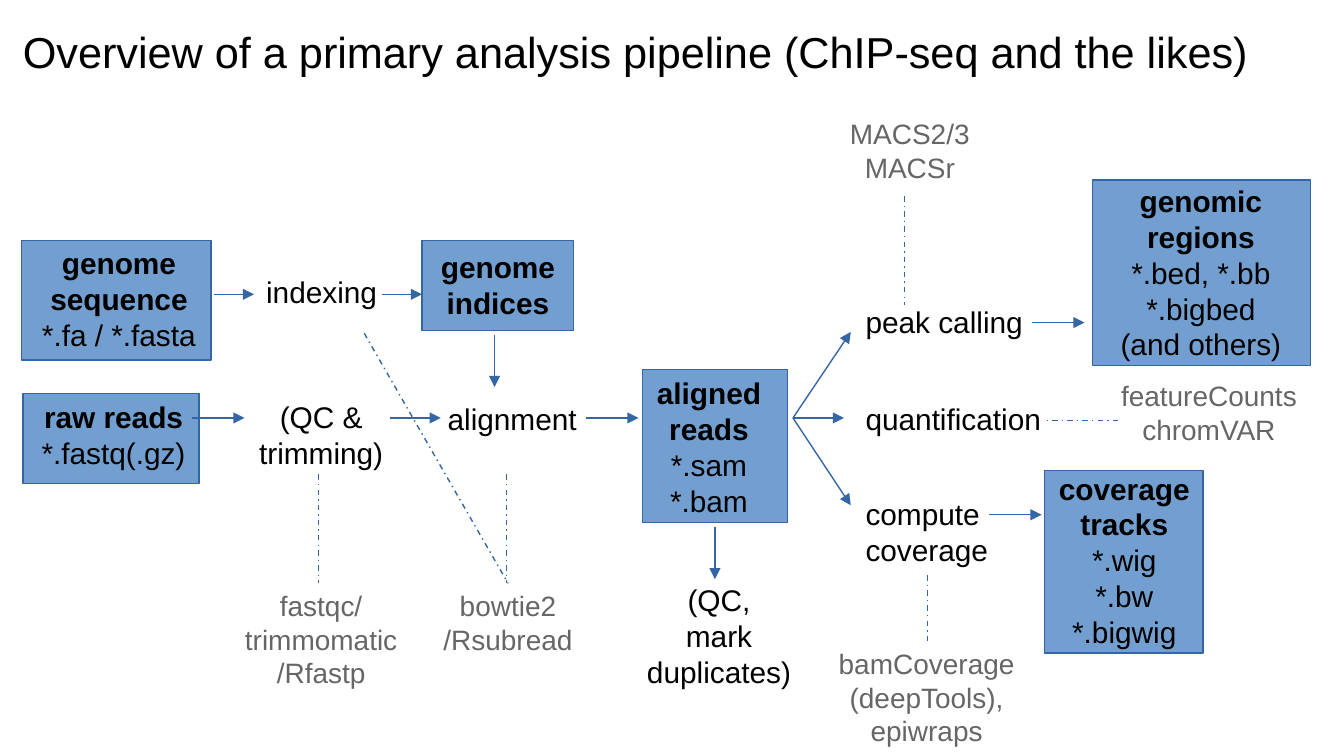
from copy import deepcopy

from lxml import etree
from pptx import Presentation
from pptx import util as u
from pptx.dml.color import RGBColor
from pptx.enum import dml, shapes, text
from pptx.oxml import ns

BLUE = RGBColor(0x72, 0x9F, 0xCF)
NAVY = RGBColor(0x34, 0x65, 0xA4)
BLACK = RGBColor(0, 0, 0)
GRAY = RGBColor(0x66, 0x66, 0x66)
CENTER = text.PP_ALIGN.CENTER
LEFT = text.PP_ALIGN.LEFT
LABEL_MARGINS = {"margin_left": 0.09, "margin_right": 0.09,
                 "margin_top": 0.04, "margin_bottom": 0.04}


def place(origin, area):
    """Turn an area relative to an origin into slide lengths."""
    left, top, width, height = area
    return [u.Inches(length) for length in
            (origin[0] + left, origin[1] + top, width, height)]


def add_label(page, origin, area, lines, size=16, color=BLACK, align=CENTER,
              bold_lines=0, margins=LABEL_MARGINS, anchor=text.MSO_ANCHOR.TOP):
    """Write one paragraph per line, the first bold_lines of them in bold."""
    frame = page.shapes.add_textbox(*place(origin, area)).text_frame
    frame.word_wrap = True
    frame.vertical_anchor = anchor
    for name, length in margins.items():
        setattr(frame, name, u.Inches(length))
    for index, line in enumerate(lines):
        para = frame.paragraphs[0] if index == 0 else frame.add_paragraph()
        para.alignment = align
        para.text = line
        values = {"name": "Arial", "size": u.Pt(size), "bold": index < bold_lines}
        for span in para.runs:
            for name, value in values.items():
                setattr(span.font, name, value)
            span.font.color.rgb = color
        for line_break in para._p.findall(ns.qn("a:br")):
            line_break.append(deepcopy(para.runs[0]._r.rPr))


def add_data(page, origin, area, label_area, lines, bold_lines=1):
    """Draw a blue data box with its name in bold and its file formats."""
    box = page.shapes.add_shape(shapes.MSO_SHAPE.RECTANGLE, *place(origin, area))
    box.shadow.inherit = False
    box.fill.solid()
    box.fill.fore_color.rgb = BLUE
    box.line.color.rgb = NAVY
    box.line.width = u.Pt(0.75)
    add_label(page, origin, label_area, lines, bold_lines=bold_lines)


def add_link(page, origin, start, end, dashed=False):
    """Draw an arrow between steps, or a dashed line to a tool."""
    points = [u.Inches(base + offset) for point in (start, end)
              for base, offset in zip(origin, point)]
    link = page.shapes.add_connector(shapes.MSO_CONNECTOR.STRAIGHT, *points)
    link.line.color.rgb = NAVY
    link.line.width = u.Pt(0.75)
    if dashed:
        link.line.dash_style = dml.MSO_LINE.DASH_DOT
    else:
        etree.SubElement(link.line._get_or_add_ln(), ns.qn("a:tailEnd"), type="triangle")
    etree.SubElement(link._element.spPr, ns.qn("a:effectLst"))


def add_title(page, box):
    """Write the slide title."""
    add_label(page, box[:2], (0, 0, *box[2:]),
              ["Overview of a primary analysis pipeline (ChIP-seq and the likes)"],
              size=23.2, align=LEFT, margins=dict.fromkeys(LABEL_MARGINS, 0),
              anchor=text.MSO_ANCHOR.MIDDLE)


def add_alignment_steps(page, origin):
    """Draw the path from genome and raw reads to aligned reads."""
    data = [
        ((4.78, 1, 1.08, 1.14), (4.48, 1, 1.59, 1.11), ["aligned reads", "*.sam", "*.bam"]),
        ((0.17, 1.18, 1.31, 0.67), (0.05, 1.18, 1.59, 0.6), ["raw reads", "*.fastq(.gz)"]),
        ((3.14, 0.04, 1.13, 0.67), (2.91, 0.06, 1.59, 0.6), ["genome indices"]),
        ((0.16, 0.04, 1.41, 0.89), (0.09, 0.03, 1.59, 0.85),
         ["genome sequence", "*.fa / *.fasta"]),
    ]
    for area, label_area, lines in data:
        add_data(page, origin, area, label_area, lines)
    steps = [
        ((1.75, 1.18, 1.28, 0.6), ["(QC &", "trimming)"], CENTER),
        ((3.24, 1.19, 1.18, 0.34), ["alignment"], LEFT),
        ((1.89, 0.25, 1.06, 0.34), ["indexing"], LEFT),
        ((4.71, 2.54, 1.28, 0.34), ["(QC,", "mark duplicates)"], CENTER),
    ]
    for area, lines, align in steps:
        add_label(page, origin, area, lines, align=align)
    genome_y, reads_y = 0.44, 1.36
    for left, right, y in [(1.59, 1.89, genome_y), (2.84, 3.14, genome_y),
                           (1.43, 1.82, reads_y), (2.9, 3.28, reads_y),
                           (4.36, 4.75, reads_y)]:
        add_link(page, origin, (left, y), (right, y))
    for x, top in [(3.68, 0.74), (5.32, 2.17)]:
        add_link(page, origin, (x, top), (x, top + 0.39))


def add_result_steps(page, origin):
    """Draw the three branches from aligned reads to results."""
    for target in [(0.43, 1.17), (0.38, 1.81), (0.43, 2.46)]:
        add_link(page, origin, (0, 1.81), target)
    steps = [
        ((0.45, 0.92, 1.58, 0.34), "peak calling"),
        ((0.45, 1.64, 1.8, 0.6), "quantification"),
        ((0.45, 2.35, 1.12, 0.6), "compute coverage"),
    ]
    for area, line in steps:
        add_label(page, origin, area, [line], align=LEFT)
    for left, y in [(1.78, 1.1), (1.46, 2.53)]:
        add_link(page, origin, (left, y), (left + 0.39, y))
    add_data(page, origin, (1.87, 2.2, 1.18, 1.36), (1.67, 2.16, 1.59, 1.36),
             ["coverage", "tracks", "*.wig", "*.bw", "*.bigwig"], bold_lines=2)
    add_data(page, origin, (2.23, 0.04, 1.62, 1.38), (2.24, 0.02, 1.59, 1.36),
             ["genomic\vregions", "*.bed, *.bb", "*.bigbed", "(and others)"])


def add_tools(page, origin):
    """Name the software for each step and tie it to the step."""
    tools = [
        ((0.01, 3.54, 1.36, 0.91), ["fastqc/", "trimmomatic/Rfastp"]),
        ((1.4, 3.54, 1.36, 0.45), ["bowtie2", "/Rsubread"]),
        ((4.22, 0.03, 1.7, 0.55), ["MACS2/3\vMACSr"]),
        ((4.43, 3.97, 1.53, 0.76), ["bamCoverage", "(deepTools),", "epiwraps"]),
        ((6.5, 1.98, 1.59, 0.63), ["featureCounts", "chromVAR"]),
    ]
    for area, lines in tools:
        add_label(page, origin, area, lines, size=15, color=GRAY)
    ties = [
        ((0.67, 2.73), (0.67, 3.54)),
        ((2.07, 2.73), (2.07, 3.54)),
        ((1.01, 1.68), (2.08, 3.54)),
        ((5.03, 0.66), (5.03, 1.47)),
        ((5.2, 3.48), (5.2, 4)),
        ((6.62, 2.33), (6.09, 2.33)),
    ]
    for start, end in ties:
        add_link(page, origin, start, end, dashed=True)


def main():
    """Build the slide and save the deck."""
    deck = Presentation()
    deck.slide_width = u.Inches(10)
    deck.slide_height = u.Inches(10 * 9 / 16)
    page = deck.slides.add_slide(deck.slide_layouts[6])
    add_title(page, (0.17, 0.07, 9.32, 0.63))
    add_alignment_steps(page, (0, 1.75))
    add_result_steps(page, (5.9, 1.3))
    add_tools(page, (1.7, 0.8))
    deck.save("out.pptx")


if __name__ == "__main__":
    main()
